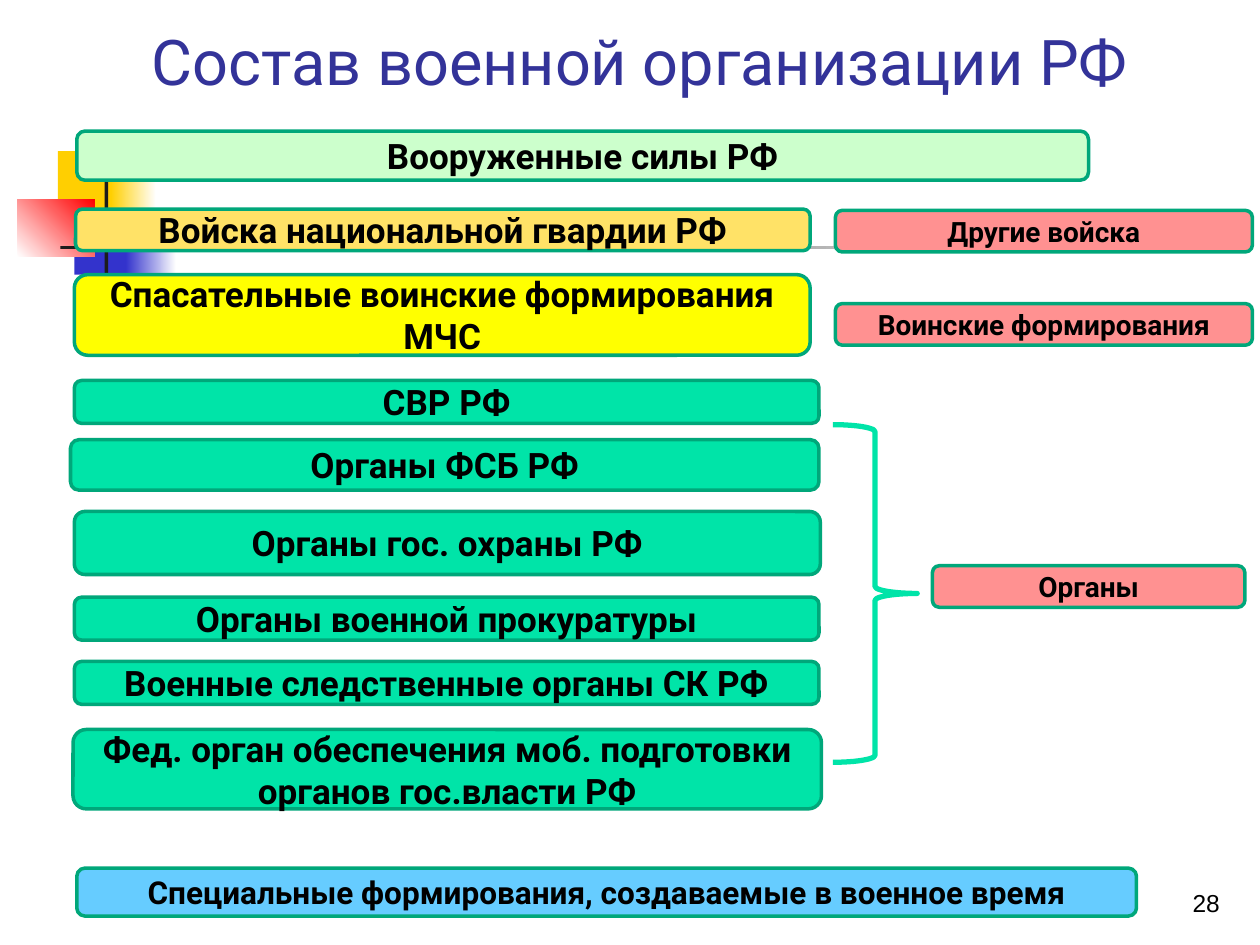
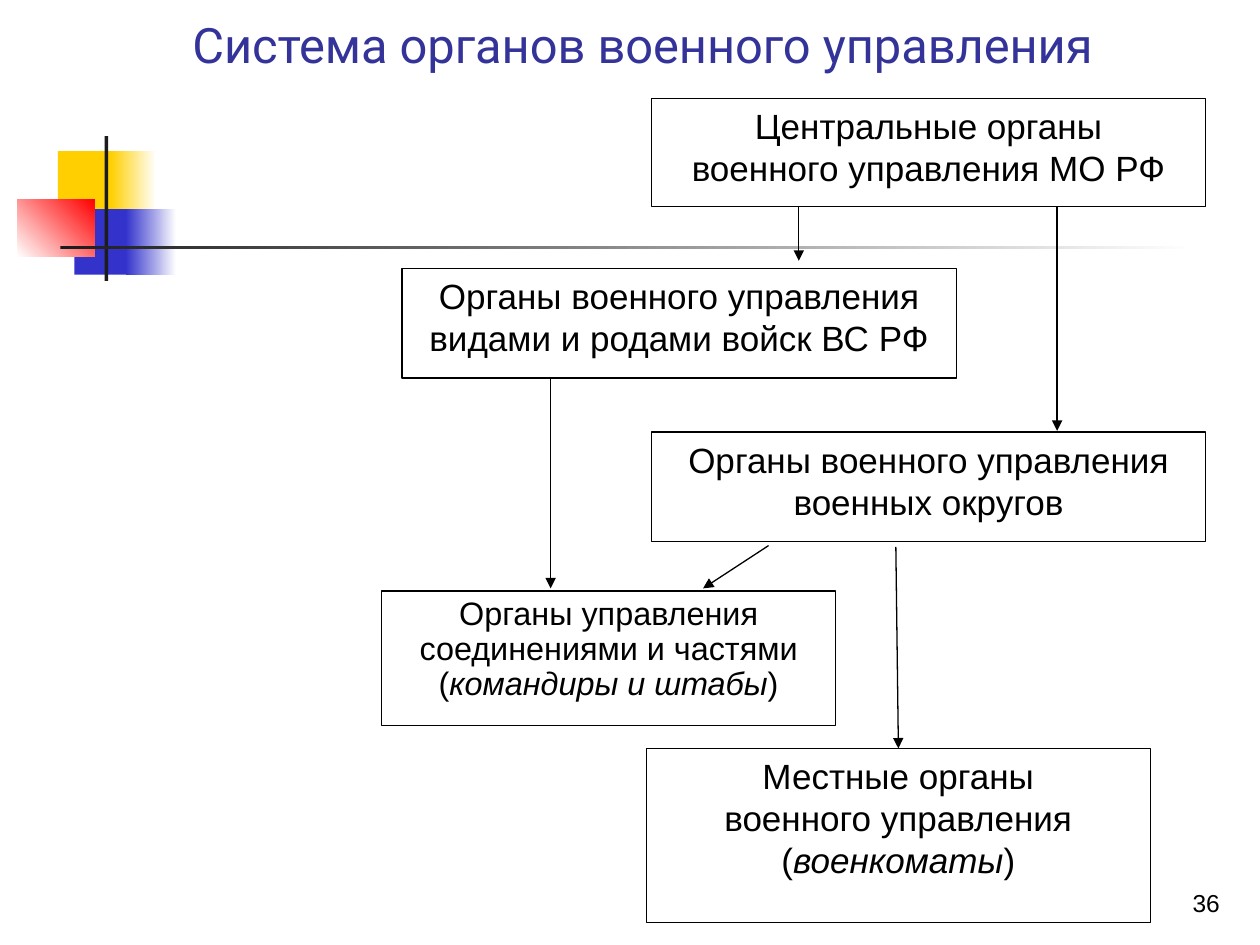
from lxml import etree
from pptx import Presentation
from pptx import util as u
from pptx.dml.color import RGBColor
from pptx.enum import shapes, text
from pptx.oxml.ns import qn

Inches, Pt = u.Inches, u.Pt
SHAPE = shapes.MSO_SHAPE

# Shared colours and fonts
TITLE_COLOR, BLACK, WHITE = "333399", "000000", "FFFFFF"
GREEN, GREEN_EDGE, PINK = "00E4A8", "00A77A", "FF9191"
TITLE_FONT, BODY_FONT = "Roboto", "Arial"


def color(hex_value):
    return RGBColor.from_string(hex_value)


def style_text(text_frame, font, size, hex_value=BLACK, bold=False,
               align=text.PP_ALIGN.CENTER, anchor=text.MSO_ANCHOR.TOP):
    text_frame.word_wrap = True
    text_frame.auto_size = text.MSO_AUTO_SIZE.NONE
    text_frame.vertical_anchor = anchor
    for paragraph in text_frame.paragraphs:
        paragraph.alignment = align
        for run in paragraph.runs:
            run.font.name = font
            run.font.size = Pt(size)
            run.font.bold = bold
            run.font.color.rgb = color(hex_value)


presentation = Presentation()
presentation.slide_width, presentation.slide_height = Inches(10), Inches(7.5)
layout = presentation.slide_layouts[5]

# Slides with title and number
slides = []
for title, place, size, number in [
    ("Состав военной организации РФ", (0.67, 0.13, 8.82, 0.7), 36, "28"),
    ("Система органов военного управления", (0.2, 0.07, 9.8, 0.6), 27.9, "36"),
]:
    slide = presentation.slides.add_slide(layout)
    slides.append(slide)
    heading = slide.shapes.title
    heading.left, heading.top, heading.width, heading.height = map(Inches, place)
    heading.text_frame.text = title
    style_text(heading.text_frame, TITLE_FONT, size, TITLE_COLOR)

    number_box = slide.shapes.add_textbox(*map(Inches, (7.7, 6.83, 2.08, 0.5)))
    number_box.text_frame.text = number
    style_text(number_box.text_frame, BODY_FONT, 14,
               align=text.PP_ALIGN.RIGHT, anchor=text.MSO_ANCHOR.BOTTOM)

composition, command = slides

# Corner ornament, moved to the shared layout
for place, start, end, angle in [
    ((0.46, 1.2, 0.48, 0.52), "FFCF01", None, 0),
    ((0.88, 1.2, 0.36, 0.52), "FFCF01", WHITE, 0),
    ((0.59, 1.66, 0.46, 0.52), "3333CC", None, 0),
    ((1, 1.66, 0.4, 0.52), "3333CC", WHITE, 0),
    ((0.14, 1.58, 0.61, 0.46), WHITE, "FF0000", 45),
    ((0.83, 1.08, 0.03, 1.15), "1C1C1C", None, 0),
    ((0.48, 1.95, 9, 0.03), "1C1C1C", WHITE, 0),
]:
    ornament = composition.shapes.add_shape(SHAPE.RECTANGLE, *map(Inches, place))
    ornament.shadow.inherit = False
    ornament.line.fill.background()
    if end:
        ornament.fill.gradient()
        ornament.fill.gradient_angle = angle
        for stop, hex_value in zip(ornament.fill.gradient_stops, (start, end)):
            stop.color.rgb = color(hex_value)
    else:
        ornament.fill.solid()
        ornament.fill.fore_color.rgb = color(start)
    layout.shapes.element.append(ornament.element)

# Slide 1: rounded bars
for label, place, fill, size in [
    ("Вооруженные силы РФ", (0.61, 1.04, 8.03, 0.39), "CCFFCC", 20),
    ("Войска национальной гвардии РФ", (0.6, 1.66, 5.83, 0.33), "FFE267", 20),
    ("Спасательные воинские формирования МЧС", (0.59, 2.18, 5.84, 0.64), "FFFF00", 20),
    ("СВР РФ", (0.59, 3.02, 5.91, 0.34), GREEN, 20),
    ("Органы ФСБ РФ", (0.56, 3.49, 5.94, 0.4), GREEN, 20),
    ("Органы гос. охраны РФ", (0.59, 4.06, 5.92, 0.5), GREEN, 20),
    ("Органы военной прокуратуры", (0.59, 4.74, 5.91, 0.34), GREEN, 20),
    ("Военные следственные органы СК РФ", (0.59, 5.25, 5.91, 0.34), GREEN, 20),
    ("Фед. орган обеспечения моб. подготовки органов гос.власти РФ",
     (0.58, 5.79, 5.94, 0.63), GREEN, 20),
    ("Специальные формирования, создаваемые в военное время",
     (0.61, 6.89, 8.41, 0.38), "66CCFF", 18),
    ("Другие войска", (6.63, 1.67, 3.31, 0.33), PINK, 16),
    ("Воинские формирования", (6.63, 2.41, 3.31, 0.33), PINK, 16),
    ("Органы", (7.4, 4.49, 2.48, 0.33), PINK, 16),
]:
    bar = composition.shapes.add_shape(SHAPE.ROUNDED_RECTANGLE, *map(Inches, place))
    bar.shadow.inherit = False
    bar.fill.solid()
    bar.fill.fore_color.rgb = color(fill)
    bar.line.color.rgb = color(GREEN_EDGE)
    bar.line.width = Pt(2)
    bar.text_frame.text = label
    style_text(bar.text_frame, TITLE_FONT, size, bold=True,
               anchor=text.MSO_ANCHOR.MIDDLE)

# Slide 1: brace that gathers the green bars
brace = composition.shapes.add_shape(
    SHAPE.RIGHT_BRACE, *map(Inches, (6.61, 3.37, 0.67, 2.68)))
brace.shadow.inherit = False
brace.fill.background()
brace.line.color.rgb = color(GREEN)
brace.line.width = Pt(3)

# Slide 2: boxes of the command hierarchy, with an optional italic remark
for lines, remark, place, size, spacing in [
    ("Центральные органы\nвоенного управления МО РФ", None,
     (5.17, 0.78, 4.4, 0.86), 20, 1),
    ("Органы военного управления видами и родами войск ВС РФ", None,
     (3.19, 2.13, 4.4, 0.87), 20, 1),
    ("Органы военного управления военных округов", None,
     (5.17, 3.43, 4.4, 0.87), 20, 1),
    ("Органы управления соединениями и частями", "командиры и штабы",
     (3.03, 4.69, 3.6, 1.07), 18.5, 0.9),
    ("Местные органы\nвоенного управления", "военкоматы",
     (5.13, 5.94, 4, 1.38), 20, 1),
]:
    box = command.shapes.add_shape(SHAPE.RECTANGLE, *map(Inches, place))
    box.shadow.inherit = False
    box.fill.solid()
    box.fill.fore_color.rgb = color(WHITE)
    box.line.color.rgb = color(BLACK)
    box.line.width = Pt(0.75)
    box.text_frame.text = lines
    if remark:
        paragraph = box.text_frame.add_paragraph()
        for part in ("(", remark, ")"):
            run = paragraph.add_run()
            run.text = part
            run.font.italic = part == remark
    style_text(box.text_frame, BODY_FONT, size)
    for paragraph in box.text_frame.paragraphs:
        paragraph.line_spacing = spacing
local_bodies = box

# Slide 2: arrows
for ends in [
    (6.34, 1.64, 6.34, 2.07),
    (8.39, 1.64, 8.39, 3.42),
    (4.37, 3, 4.37, 4.67),
    (6.1, 4.33, 5.58, 4.67),
    (7.11, 4.34, 7.13, 5.94),
]:
    arrow = command.shapes.add_connector(
        shapes.MSO_CONNECTOR.STRAIGHT, *map(Inches, ends))
    arrow.line.color.rgb = color(BLACK)
    arrow.line.width = Pt(0.75)
    etree.SubElement(arrow.line._get_or_add_ln(), qn("a:tailEnd"), type="triangle")
    etree.SubElement(arrow.element.spPr, qn("a:effectLst"))
arrow.end_connect(local_bodies, 0)

presentation.save("out.pptx")
